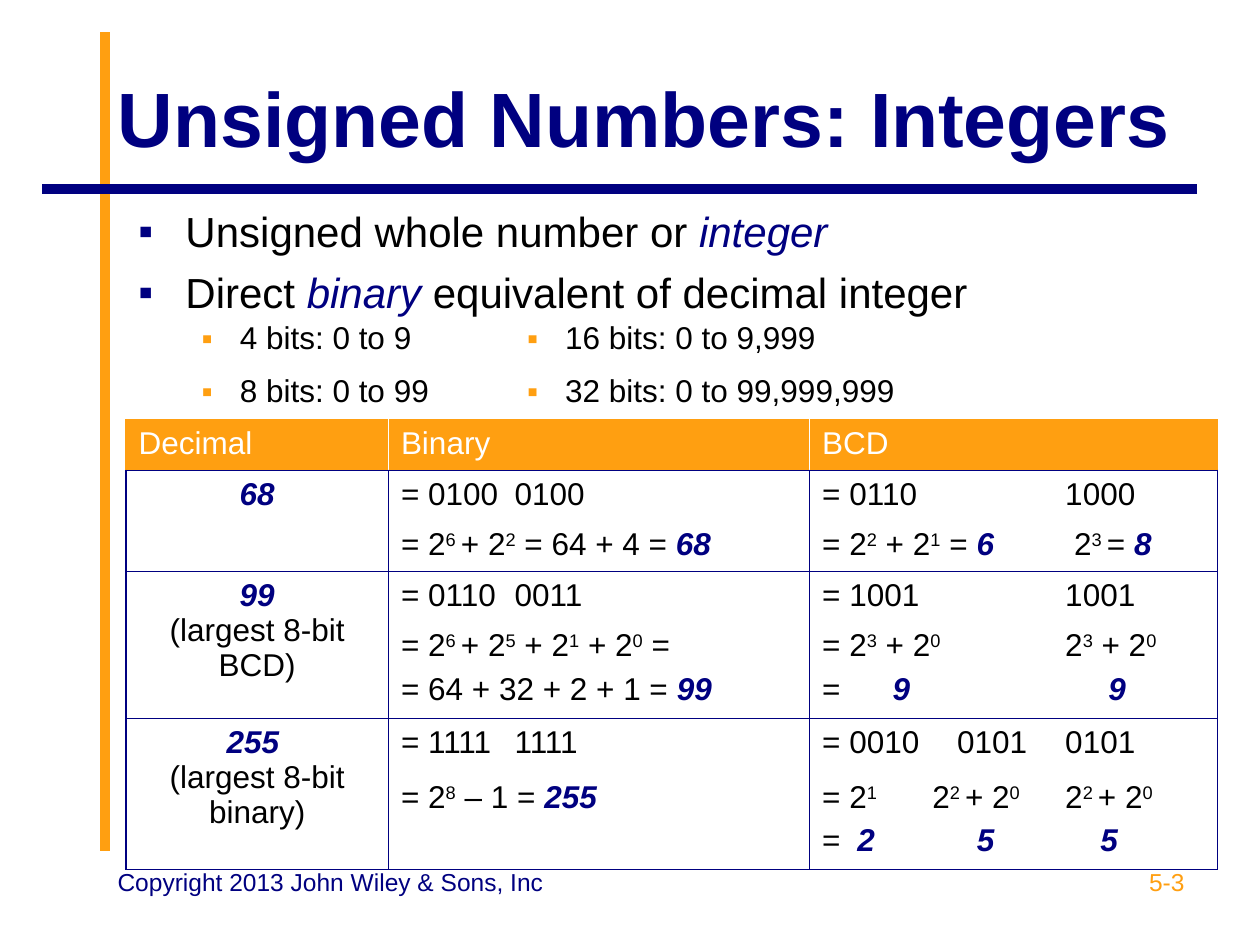
from lxml.etree import SubElement
from pptx import Presentation
from pptx.dml.color import RGBColor
from pptx.enum.shapes import MSO_CONNECTOR as Connector
from pptx.enum.text import MSO_ANCHOR as Anchor, MSO_AUTO_SIZE as AutoSize, PP_ALIGN as Align
from pptx.oxml.ns import qn
from pptx.util import Cm, Pt

NAVY = RGBColor(0x00, 0x00, 0x80)
ORANGE = RGBColor(0xFF, 0x9F, 0x11)
WHITE = RGBColor(0xFF, 0xFF, 0xFF)
BLACK = RGBColor(0x00, 0x00, 0x00)

TITLE_ONLY = 5
LABELS = ["Decimal", "Binary", "BCD"]
COLUMN_WIDTHS = [5.29, 8.49, 8.23]
ROW_HEIGHTS = [1.02, 1.02, 1.02, 1.02, 1.93, 1.12, 1.93]
FIRST_ROWS = (1, 3, 5)  # each example takes two rows

# Cells as (row, column): lines of (markup, tab stops in cm)
BINARY_TABS = [2.29]
CELLS = {
    (1, 0): [("*68*", [])],
    (1, 1): [("= 0100\t0100", BINARY_TABS)],
    (1, 2): [("= 0110\t1000", [4.9])],
    (2, 1): [("= 2^6 ^+ 2^2^ = 64 + 4 = *68*", [])],
    (2, 2): [("= 2^2^ + 2^1^ = *6\t*2^3 ^= *8*", [5.08])],
    (3, 0): [("*99*\v(largest 8-bit BCD)", [])],
    (3, 1): [("= 0110\t0011", BINARY_TABS)],
    (3, 2): [("= 1001\t1001", [4.9])],
    (4, 1): [("= 2^6 ^+ 2^5^ + 2^1^ + 2^0^ =", []),
             ("= 64 + 32 + 2 + 1 = *99*", [])],
    (4, 2): [("= 2^3^ + 2^0^\t2^3^ + 2^0^", [4.9]),
             ("=\t*9\t9*", [1.42, 5.77])],
    (5, 0): [("*255 *\v(largest 8-bit binary)", [])],
    (5, 1): [("= 1111\t1111", BINARY_TABS)],
    (5, 2): [("= 0010\t0101\t0101", [2.72, 4.9])],
    (6, 1): [("= 2^8^ – 1 = *255*", [])],
    (6, 2): [("= 2^1^\t2^2 ^+ 2^0^\t2^2 ^+ 2^0^", [2.22, 4.9]),
             ("=\t*2\t5\t5*", [0.71, 3.12, 5.61])],
}
BIT_RANGES = [["4 bits: 0 to 9", "16 bits: 0 to 9,999"],
              ["8 bits: 0 to 99", "32 bits: 0 to 99,999,999"]]


class SlideBuilder:
    font_name = "Arial"
    line_width = Pt(5.5)
    border_width = Pt(0.75)

    def __init__(self, slide):
        self.slide = slide

    def add_runs(self, paragraph, markup, size, color=BLACK, bold=False, bold_emphasis=True):
        """Add runs: *...* is navy italic, ^...^ is superscript, \\v breaks the line."""
        for line_number, line in enumerate(markup.split("\v")):
            if line_number:
                paragraph.add_line_break()
            for i, part in enumerate(line.split("*")):
                emphasized = i % 2 == 1
                for j, text in enumerate(part.split("^")):
                    if not text:
                        continue
                    run = paragraph.add_run()
                    run.text = text
                    font = run.font
                    font.name, font.size = self.font_name, Pt(size)
                    font.color.rgb = NAVY if emphasized else color
                    font.italic = emphasized
                    font.bold = bold_emphasis if emphasized else bold
                    if j % 2:
                        font._element.set("baseline", "30000")

    def bullet(self, paragraph, color, indent):
        properties = paragraph._p.get_or_add_pPr()
        properties.set("marL", str(Cm(indent)))
        properties.set("indent", str(-Cm(indent)))
        SubElement(SubElement(properties, qn("a:buClr")), qn("a:srgbClr"), val=str(color))
        SubElement(properties, qn("a:buFont"), typeface=self.font_name)
        SubElement(properties, qn("a:buChar"), char="▪")

    def tabs(self, paragraph, stops):
        if stops:
            tab_list = SubElement(paragraph._p.get_or_add_pPr(), qn("a:tabLst"))
            for stop in stops:
                SubElement(tab_list, qn("a:tab"), pos=str(Cm(stop)), algn="l")

    def line(self, x1, y1, x2, y2, color):
        connector = self.slide.shapes.add_connector(
            Connector.STRAIGHT, Cm(x1), Cm(y1), Cm(x2), Cm(y2))
        connector.line.color.rgb = color
        connector.line.width = self.line_width
        SubElement(connector._element.spPr, qn("a:effectLst"))

    def title(self, text, left, top, width, height):
        shape = self.slide.shapes.title
        shape.left, shape.top, shape.width, shape.height = map(Cm, (left, top, width, height))
        text_frame = shape.text_frame
        text_frame.auto_size = AutoSize.NONE
        text_frame.vertical_anchor = Anchor.MIDDLE
        text_frame.paragraphs[0].alignment = Align.LEFT
        self.add_runs(text_frame.paragraphs[0], text, 44, NAVY, bold=True)

    def text_box(self, left, top, width, height):
        shape = self.slide.shapes.add_textbox(*map(Cm, (left, top, width, height)))
        shape.text_frame.word_wrap = True
        return shape.text_frame

    def bullets(self, lines, left, top, width, height):
        text_frame = self.text_box(left, top, width, height)
        for i, markup in enumerate(lines):
            paragraph = text_frame.add_paragraph() if i else text_frame.paragraphs[0]
            self.bullet(paragraph, NAVY, 0.95)
            if i:
                paragraph.space_before = Pt(6)
            self.add_runs(paragraph, markup, 24, bold_emphasis=False)

    def footer(self, text, left, top, width, height, color, alignment):
        paragraph = self.text_box(left, top, width, height).paragraphs[0]
        paragraph.alignment = alignment
        self.add_runs(paragraph, text, 14, color)

    def table(self, left, top, widths, heights):
        frame = self.slide.shapes.add_table(
            len(heights), len(widths), Cm(left), Cm(top), Cm(sum(widths)), Cm(sum(heights)))
        table = frame.table
        table.first_row = table.horz_banding = False
        for column, width in zip(table.columns, widths):
            column.width = Cm(width)
        for row, height in zip(table.rows, heights):
            row.height = Cm(height)
        return table

    def borders(self, cell, **colors):
        """Draw the sides L, R, T, B in their colours; a side left out has no line."""
        properties = cell._tc.get_or_add_tcPr()
        for side in "LRTB":
            border = SubElement(properties, qn(f"a:ln{side}"), w=str(self.border_width))
            if colors.get(side) is None:
                SubElement(border, qn("a:noFill"))
            else:
                fill = SubElement(border, qn("a:solidFill"))
                SubElement(fill, qn("a:srgbClr"), val=str(colors[side]))

    def number_table(self, left, top):
        table = self.table(left, top, COLUMN_WIDTHS, ROW_HEIGHTS)
        last = len(LABELS) - 1
        for column, label in enumerate(LABELS):
            cell = table.cell(0, column)
            self.borders(cell, L=WHITE if column else ORANGE,
                         R=WHITE if column < last else ORANGE, T=ORANGE, B=NAVY)
            cell.fill.solid()
            cell.fill.fore_color.rgb = ORANGE
            self.add_runs(cell.text_frame.paragraphs[0], label, 18, WHITE)
        for first in FIRST_ROWS:
            for row in (first, first + 1):
                for column in range(len(LABELS)):
                    cell = table.cell(row, column)
                    merged = column == 0 and first > 1
                    self.borders(cell, L=NAVY, R=NAVY,
                                 T=NAVY if row == first else None,
                                 B=NAVY if row > first or merged else None)
                    cell.fill.background()
                    self.fill_cell(cell, CELLS.get((row, column), []), column == 0)
            if first > 1:
                table.cell(first, 0).merge(table.cell(first + 1, 0))

    def fill_cell(self, cell, lines, centered):
        text_frame = cell.text_frame
        for i, (markup, stops) in enumerate(lines):
            paragraph = text_frame.add_paragraph() if i else text_frame.paragraphs[0]
            self.tabs(paragraph, stops)
            if i:
                paragraph.space_before = Pt(4.5)
            if centered:
                paragraph.alignment = Align.CENTER
            self.add_runs(paragraph, markup, 18)

    def range_table(self, left, top):
        table = self.table(left, top, [6.56, 12.7], [1.06, 1.06])
        for row, texts in enumerate(BIT_RANGES):
            for column, text in enumerate(texts):
                cell = table.cell(row, column)
                self.borders(cell)
                cell.fill.background()
                paragraph = cell.text_frame.paragraphs[0]
                self.bullet(paragraph, ORANGE, 0.77)
                self.add_runs(paragraph, text, 18)


def main():
    presentation = Presentation()
    presentation.slide_width, presentation.slide_height = Cm(25.4), Cm(19.05)
    slide = presentation.slides.add_slide(presentation.slide_layouts[TITLE_ONLY])
    builder = SlideBuilder(slide)
    builder.line(2.12, 17.15, 2.12, 0.64, ORANGE)
    builder.line(24.13, 3.81, 0.85, 3.81, NAVY)
    builder.title("Unsigned Numbers: Integers", 2.12, 0.76, 22.01, 3.18)
    builder.bullets(["Unsigned whole number or *integer*",
                     "Direct *binary* equivalent of decimal integer"], 2.54, 4.02, 21.59, 2.75)
    builder.number_table(2.54, 8.46)
    builder.range_table(3.81, 6.35)
    builder.footer("5-3", 18.2, 17.36, 5.93, 1.32, ORANGE, Align.RIGHT)
    builder.footer("Copyright 2013 John Wiley & Sons, Inc", 2.12, 17.36, 9.31, 1.32,
                   NAVY, Align.LEFT)
    presentation.save("out.pptx")


if __name__ == "__main__":
    main()
